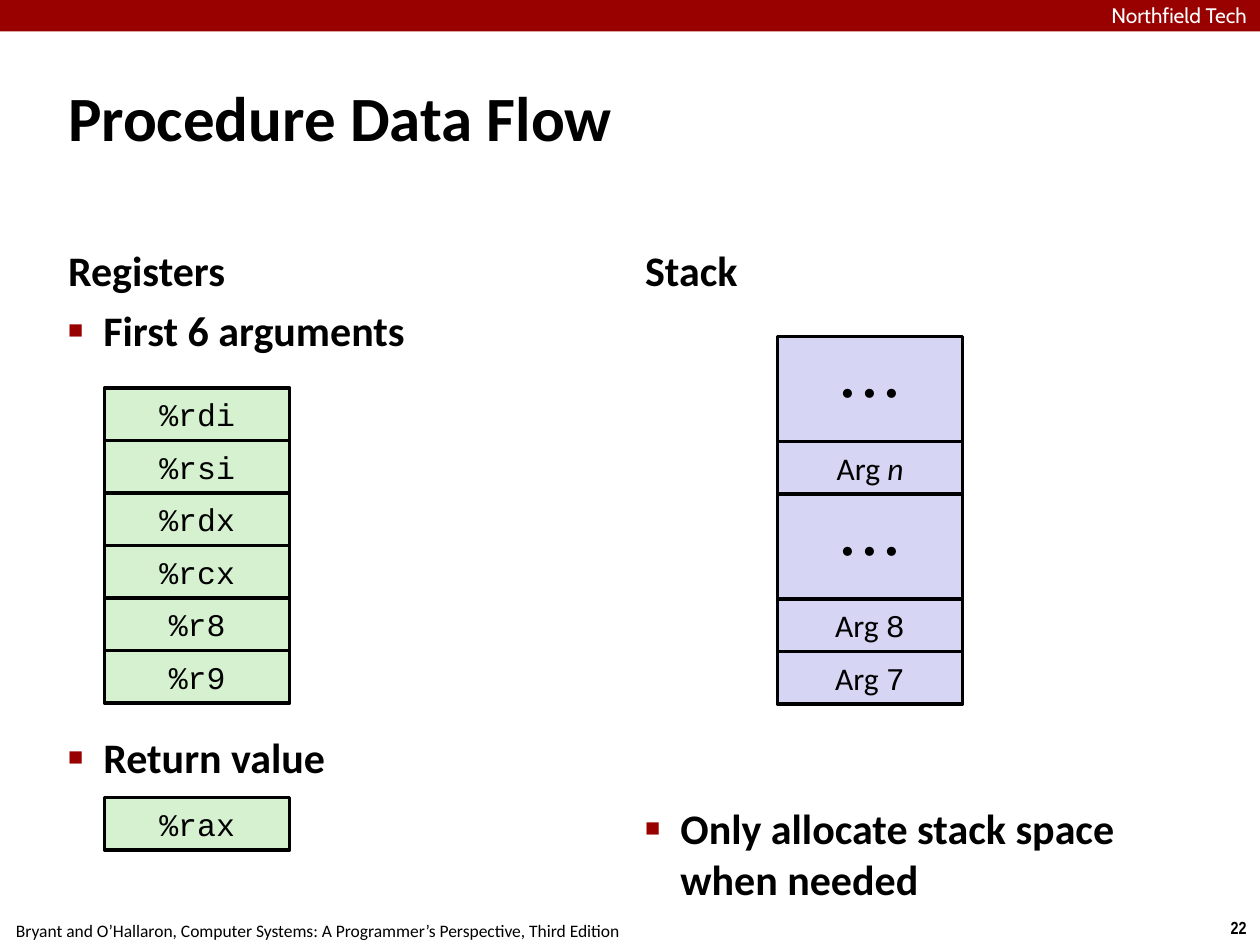
from lxml import etree
from pptx import Presentation
from pptx.dml.color import RGBColor
from pptx.enum import shapes, text
from pptx.oxml import ns
from pptx.util import Inches, Pt

HUE = {"ink": "000000", "paper": "FFFFFF", "red": "990000",
       "green": "D5F1CF", "blue": "D6D6F4"}
LEFT = text.PP_ALIGN.LEFT
MID = text.PP_ALIGN.CENTER
ROW = 5 / 12
WIDE = 1.47


def write(para, runs, align=LEFT, hue="ink", **look):
    """Fill a paragraph with (words, extra format) runs."""
    para.alignment = align
    for words, extra in runs:
        run = para.add_run()
        run.text = words
        run.font.color.rgb = RGBColor.from_string(HUE[hue])
        for key, value in {**look, **extra}.items():
            setattr(run.font, key, value)


def block(left, top, width, height, hue, edge=True):
    """Add a plain rectangle."""
    box = slide.shapes.add_shape(shapes.MSO_SHAPE.RECTANGLE, Inches(left),
                                 Inches(top), Inches(width), Inches(height))
    box.shadow.inherit = False
    box.fill.solid()
    box.fill.fore_color.rgb = RGBColor.from_string(HUE[hue])
    if edge:
        box.line.color.rgb = RGBColor.from_string(HUE["ink"])
        box.line.width = Pt(2)
    else:
        box.line.fill.background()
    return box


deck = Presentation()
deck.slide_width, deck.slide_height = Inches(10), Inches(7.5)
slide = deck.slides.add_slide(deck.slide_layouts[4])

# Top band, school name, footer and page number
block(0, 0, 10.01, 0.25, "red", edge=False)
notes = [
    ("Northfield Tech", 8.82, 0.02, 1.44, 0.19, LEFT, "paper",
     {"name": "Cabin", "size": Pt(12)}),
    ("Bryant and O’Hallaron, Computer Systems: A Programmer’s Perspective, "
     "Third Edition", -0.02, 7.25, 5.08, 0.27, MID, "ink",
     {"name": "Calibri", "size": Pt(10)}),
    ("22", 9.66, 7.23, 0.34, 0.27, MID, "ink",
     {"name": "Arial Narrow", "size": Pt(10), "bold": True}),
]
for words, left, top, width, height, align, hue, look in notes:
    box = slide.shapes.add_textbox(Inches(left), Inches(top),
                                   Inches(width), Inches(height))
    frame = box.text_frame
    frame.word_wrap = False
    if hue == "paper":
        frame.margin_left = frame.margin_right = 0
        frame.margin_top = frame.margin_bottom = 0
    write(frame.paragraphs[0], [(words, {})], align, hue, **look)

# Title, headings and lists: index, place, anchor, size, bullets, lines
# Each line holds its words and the space before it in points
TOP, BASE = text.MSO_ANCHOR.TOP, text.MSO_ANCHOR.BOTTOM
parts = [
    (0, (0.5, 0.3, 9, 1.25), text.MSO_ANCHOR.MIDDLE, 36, False,
     [("Procedure Data Flow", 0)]),
    (1, (0.5, 1.68, 4.42, 0.7), BASE, 24, False, [("Registers", 6)]),
    (2, (0.5, 2.38, 4.42, 4.32), TOP, 24, True,
     [("First 6 arguments", 6), ("Return value", 215)]),
    (3, (5.08, 1.68, 4.42, 0.7), BASE, 24, False, [("Stack", 6)]),
    (4, (5.08, 6.33, 4.42, 0.37), TOP, 24, True,
     [("Only allocate stack space when needed", 6)]),
]
holders = {p.placeholder_format.idx: p for p in slide.placeholders}
for index, place, anchor, size, listed, lines in parts:
    holder = holders[index]
    for key, value in zip(("left", "top", "width", "height"), place):
        setattr(holder, key, Inches(value))
    frame = holder.text_frame
    frame.auto_size = text.MSO_AUTO_SIZE.NONE
    frame.vertical_anchor = anchor
    for side in ("left", "right", "top", "bottom"):
        setattr(frame, "margin_" + side, Inches(0.04))
    for count, (words, gap) in enumerate(lines):
        para = frame.add_paragraph() if count else frame.paragraphs[0]
        para.space_before = Pt(gap)
        write(para, [(words, {})], name="Calibri", size=Pt(size), bold=True)
        if listed:
            props = para._p.get_or_add_pPr()
            props.set("marL", str(Inches(0.28)))
            props.set("indent", str(-Inches(0.28)))
            tint = etree.SubElement(props, ns.qn("a:buClr"))
            etree.SubElement(tint, ns.qn("a:srgbClr"), val=HUE["red"])
            etree.SubElement(props, ns.qn("a:buSzPct"), val="60000")
            etree.SubElement(props, ns.qn("a:buFont"), typeface="Arial")
            etree.SubElement(props, ns.qn("a:buChar"), char="■")

# Registers and stack cells: left, first top, colour, (runs, rows high)
code = {"name": "Courier New"}
dots = ([("• • •", {"name": "Cabin", "size": Pt(24)})], 2)
names = ["%rdi", "%rsi", "%rdx", "%rcx", "%r8", "%r9"]
stacks = [
    (0.83, 3.08, "green", [([(n, code)], 1) for n in names]),
    (0.83, 6.33, "green", [([("%rax", code)], 1)]),
    (6.17, 2.67, "blue", [
        dots,
        ([("Arg ", {}), ("n", {"italic": True})], 1),
        dots,
        ([("Arg ", {}), ("8", code)], 1),
        ([("Arg ", {}), ("7", code)], 1),
    ]),
]
for left, top, hue, cells in stacks:
    for runs, rows in cells:
        cell = block(left, top, WIDE, rows * ROW, hue)
        frame = cell.text_frame
        frame.vertical_anchor = text.MSO_ANCHOR.MIDDLE
        for side in ("left", "right", "top", "bottom"):
            setattr(frame, "margin_" + side, Inches(0.04 if rows == 1 else 0))
        write(frame.paragraphs[0], runs, MID, name="Calibri", size=Pt(18))
        top += rows * ROW

deck.save("out.pptx")
